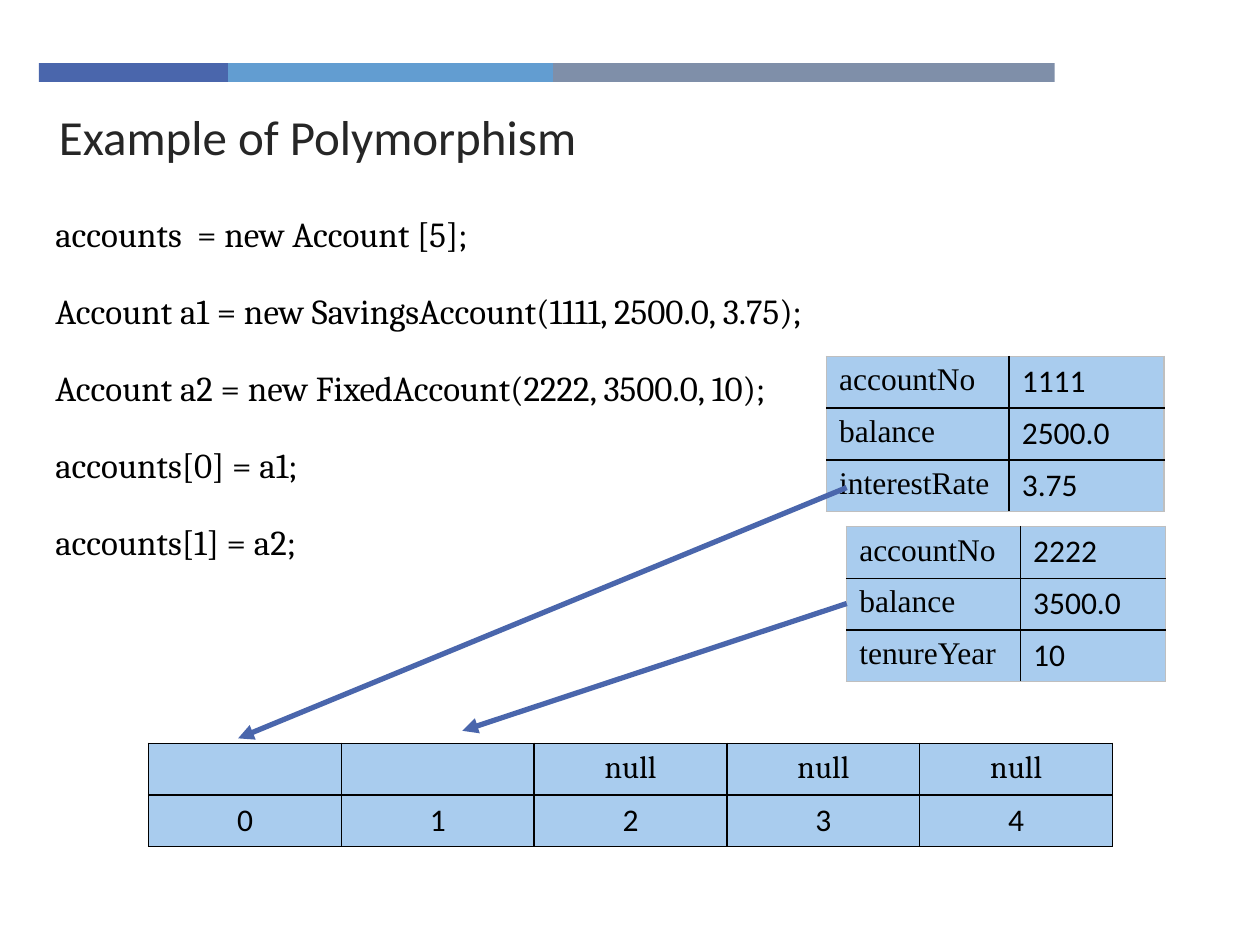
from lxml.etree import SubElement
from pptx import Presentation
from pptx.dml.color import RGBColor
from pptx.enum.shapes import MSO_CONNECTOR as CONNECTOR, MSO_SHAPE as SHAPE
from pptx.enum.text import PP_ALIGN as ALIGN
from pptx.oxml.ns import qn
from pptx.util import Inches, Pt

BLUE = "4A66AC"
CELL_BLUE = "A9CCEE"
BLACK = "000000"
GREY = "BFBFBF"
ROW_HEIGHT = 0.41

color = RGBColor.from_string


def write(frame, text, size=18, font="Calibri", ink=BLACK, align=ALIGN.LEFT, before=0):
    """Fill a text frame, one paragraph for each line of the text."""
    frame.word_wrap = True
    for index, line in enumerate(text.split("\n")):
        paragraph = frame.add_paragraph() if index else frame.paragraphs[0]
        paragraph.alignment = align
        paragraph.space_before = Pt(before)
        run = paragraph.add_run()
        run.text = line
        run.font.size = Pt(size)
        run.font.name = font
        run.font.color.rgb = color(ink)


def add_grid(slide, left, top, widths, rows, fonts, align, outer):
    """Add a table; fonts(row, column) names a cell's font, outer colours the frame."""
    row_count, column_count = len(rows), len(widths)
    table = slide.shapes.add_table(
        row_count, column_count, Inches(left), Inches(top),
        Inches(sum(widths)), Inches(ROW_HEIGHT * row_count)).table
    for column, width in zip(table.columns, widths):
        column.width = Inches(width)
    for r, values in enumerate(rows):
        table.rows[r].height = Inches(ROW_HEIGHT)
        for c, value in enumerate(values):
            cell = table.cell(r, c)
            properties = cell._tc.get_or_add_tcPr()
            edges = {"a:lnL": c == 0, "a:lnR": c == column_count - 1,
                     "a:lnT": r == 0, "a:lnB": r == row_count - 1}
            for tag, on_frame in edges.items():
                border = SubElement(properties, qn(tag), w=str(Pt(1)))
                fill = SubElement(border, qn("a:solidFill"))
                SubElement(fill, qn("a:srgbClr"), val=outer if on_frame else BLACK)
            cell.fill.solid()
            cell.fill.fore_color.rgb = color(CELL_BLUE)
            if value:
                write(cell.text_frame, value, font=fonts(r, c), align=align)


presentation = Presentation()
presentation.slide_width = Inches(10)
presentation.slide_height = Inches(7.5)
slide = presentation.slides.add_slide(presentation.slide_layouts[6])

# Header band
left = 0.31
for width, fill in ((1.5, BLUE), (2.58, "629DD1"), (3.98, "7F8FA9")):
    bar = slide.shapes.add_shape(
        SHAPE.RECTANGLE, Inches(left), Inches(0.5), Inches(width), Inches(0.15))
    bar.shadow.inherit = False
    bar.fill.solid()
    bar.fill.fore_color.rgb = color(fill)
    bar.line.fill.background()
    left += width

# Title and code
title = slide.shapes.add_textbox(Inches(0.37), Inches(0.8), Inches(7.16), Inches(0.54))
write(title.text_frame, "Example of Polymorphism", size=28, ink="262626", before=20)

code = slide.shapes.add_textbox(Inches(0.34), Inches(1.64), Inches(8.11), Inches(4.13))
write(code.text_frame, """accounts  = new Account [5];
Account a1 = new SavingsAccount(1111, 2500.0, 3.75);
Account a2 = new FixedAccount(2222, 3500.0, 10);
accounts[0] = a1;
accounts[1] = a2;""", size=20, font="Cambria", before=20)

# Account objects
savings = [("accountNo", "1111"), ("balance", "2500.0"), ("interestRate", "3.75")]
fixed = [("accountNo", "2222"), ("balance", "3500.0"), ("tenureYear", "10")]
for left, top, widths, rows in ((6.56, 2.83, (1.45, 1.23), savings),
                                (6.72, 4.18, (1.38, 1.15), fixed)):
    add_grid(slide, left, top, widths, rows,
             lambda r, c: "Calibri" if c else "Times New Roman", ALIGN.LEFT, GREY)

# Array of accounts
array_rows = [("", "", "null", "null", "null"), ("0", "1", "2", "3", "4")]
add_grid(slide, 1.18, 5.9, [1.53] * 5, array_rows,
         lambda r, c: "Calibri" if r else "Cambria", ALIGN.CENTER, BLACK)

# Arrows from the objects to their array elements
for start_y, end_x, end_y in ((3.87, 1.89, 5.86), (4.79, 3.67, 5.8)):
    arrow = slide.shapes.add_connector(
        CONNECTOR.STRAIGHT, Inches(6.72), Inches(start_y), Inches(end_x), Inches(end_y))
    arrow.line.color.rgb = color(BLUE)
    arrow.line.width = Pt(3)
    SubElement(arrow.line._get_or_add_ln(), qn("a:tailEnd"), type="triangle")
    SubElement(arrow._element.spPr, qn("a:effectLst"))

presentation.save("out.pptx")
